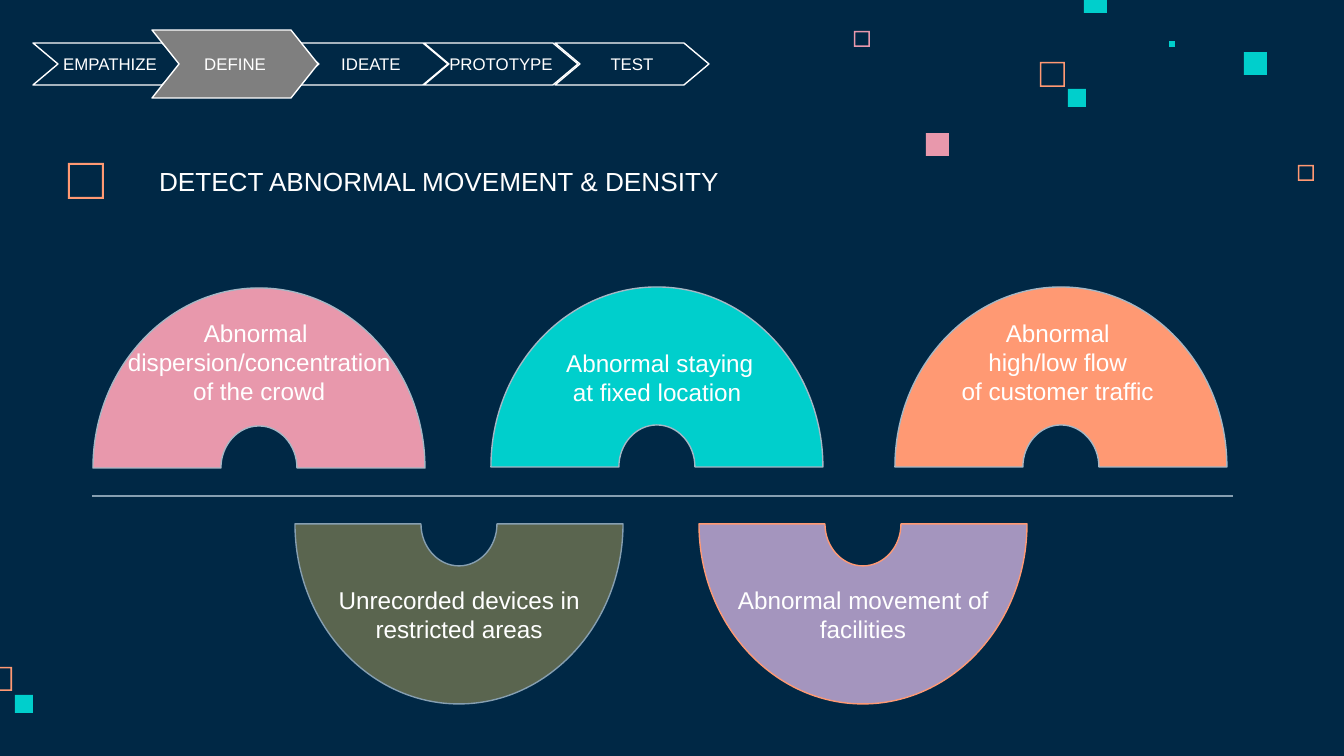
from lxml.etree import SubElement
from pptx import Presentation
from pptx.dml.color import RGBColor
from pptx.enum.shapes import MSO_CONNECTOR, MSO_SHAPE
from pptx.enum.text import MSO_ANCHOR, MSO_AUTO_SIZE, PP_ALIGN
from pptx.oxml.ns import qn
from pptx.util import Pt

SCALE = 914400 / 134.4  # EMU in one px
BEND = 0.55  # handle length of a quarter ellipse

NAVY = RGBColor(0x00, 0x28, 0x45)
WHITE = RGBColor(0xFF, 0xFF, 0xFF)
GRAY = RGBColor(0x7F, 0x7F, 0x7F)
PINK = RGBColor(0xE8, 0x98, 0xAC)
TEAL = RGBColor(0x00, 0xCF, 0xCC)
ORANGE = RGBColor(0xFF, 0x99, 0x73)
OLIVE = RGBColor(0x5A, 0x65, 0x4F)
PURPLE = RGBColor(0xA4, 0x95, 0xBE)
STEEL = RGBColor(0x86, 0x9F, 0xB1)
MIST = RGBColor(0xA5, 0xB7, 0xC5)


def emu(px):
    return round(px * SCALE)


def write(shape, text, size=13, color=WHITE, align=PP_ALIGN.CENTER,
          anchor=MSO_ANCHOR.MIDDLE, top=13, bottom=13):
    frame = shape.text_frame
    frame.word_wrap = True
    frame.auto_size = MSO_AUTO_SIZE.NONE
    frame.vertical_anchor = anchor
    frame.margin_left = frame.margin_right = emu(13)
    frame.margin_top, frame.margin_bottom = emu(top), emu(bottom)
    frame.text = text
    for para in frame.paragraphs:
        para.alignment = align
        para.font.name = "Arial"
        para.font.size = Pt(size)
        para.font.color.rgb = color


def bow(x, y, rx, ry):
    """Bezier points of a half ellipse from x - rx to x + rx."""
    return [(x - rx, y), (x - rx, y + BEND * ry), (x - BEND * rx, y + ry),
            (x, y + ry), (x + BEND * rx, y + ry), (x + rx, y + BEND * ry),
            (x + rx, y)]


def curve(shape, first):
    """Turn three line segments, from the given one on, into one curve."""
    path = next(shape._element.iter(qn("a:path")))
    lines = path[first:first + 3]
    bend = SubElement(path, qn("a:cubicBezTo"))
    path.insert(first, bend)
    for line in lines:
        bend.append(line[0])
        path.remove(line)


class Board:
    font_size = 13
    line_width = Pt(0.75)

    def __init__(self, deck):
        self.slide = deck.slides.add_slide(deck.slide_layouts[5])
        self.shapes = self.slide.shapes
        back = self.slide.background.fill
        back.solid()
        back.fore_color.rgb = NAVY

    def paint(self, shape, fill=None, line=None):
        shape.shadow.inherit = False
        if fill is None:
            shape.fill.background()
        else:
            shape.fill.solid()
            shape.fill.fore_color.rgb = fill
        if line is None:
            shape.line.fill.background()
        else:
            shape.line.color.rgb = line
            shape.line.width = self.line_width

    def title(self, text, x, y, w, h):
        shape = self.shapes.title
        shape.left, shape.top = emu(x), emu(y)
        shape.width, shape.height = emu(w), emu(h)
        write(shape, text, size=14, align=PP_ALIGN.LEFT,
              anchor=MSO_ANCHOR.TOP, top=7, bottom=7)

    def square(self, x, y, side, color, edge=0):
        kind = MSO_SHAPE.FRAME if edge else MSO_SHAPE.RECTANGLE
        shape = self.shapes.add_shape(
            kind, emu(x), emu(y), emu(side), emu(side))
        if edge:
            shape.adjustments[0] = edge / side
        self.paint(shape, color)

    def outline(self, points, fill, line):
        spots = [(emu(x), emu(y)) for x, y in points]
        pen = self.shapes.build_freeform(*spots[0])
        pen.add_line_segments(spots[1:], close=True)
        shape = pen.convert_to_shape()
        self.paint(shape, fill, line)
        return shape

    def step(self, text, x, y, w, h, notch, fill=None):
        mid, right = y + h / 2, x + w
        points = [(x, y), (x + notch, mid), (x, y + h),
                  (right - notch, y + h), (right, mid), (right - notch, y)]
        write(self.outline(points, fill, WHITE), text, size=9)

    def arch(self, text, x, base, radius, fill, line, side=-1, bottom=13):
        """Half ring on a base line; side is -1 for up and 1 for down."""
        outer = bow(x, base, radius, side * 180)
        inner = bow(x, base, 38, side * 42)[::-1]
        shape = self.outline(outer + inner, fill, line)
        # Two curves outside, a straight foot, two curves inside
        for first in (1, 2, 4, 5):
            curve(shape, first)
        write(shape, text, size=self.font_size, bottom=bottom)

    def rule(self, x, y, end, color):
        line = self.shapes.add_connector(
            MSO_CONNECTOR.STRAIGHT, emu(x), emu(y), emu(end), emu(y))
        line.line.color.rgb = color
        line.line.width = self.line_width
        SubElement(line._element.spPr, qn("a:effectLst"))


def main():
    deck = Presentation()
    deck.slide_width, deck.slide_height = emu(1344), emu(756)
    board = Board(deck)

    # Scattered squares
    for x, y, side, color, edge in [
            (1298, 165, 16, ORANGE, 1.5), (854, 31, 16, PINK, 1.5),
            (1040, 62, 25, ORANGE, 1.5), (1169, 41, 6, TEAL, 0),
            (1084, -10, 23, TEAL, 0), (1244, 52, 23, TEAL, 0),
            (1068, 89, 18, TEAL, 0), (926, 133, 23, PINK, 0),
            (-12, 667, 24, ORANGE, 1.5), (15, 695, 18, TEAL, 0)]:
        board.square(x, y, side, color, edge)

    # Lower arches
    board.arch("Unrecorded devices in restricted areas", 459, 524, 164,
               OLIVE, STEEL, side=1)
    board.arch("Abnormal movement of facilities", 863, 524, 164,
               PURPLE, ORANGE, side=1)

    # Upper arches
    for text, x, base, fill, bottom in [
            ("Abnormal \ndispersion/concentration\nof the crowd",
             259, 468, PINK, 45),
            (" Abnormal staying\nat fixed location", 657, 467, TEAL, 13),
            ("Abnormal \nhigh/low flow \nof customer traffic ",
             1061, 467, ORANGE, 43)]:
        board.arch(text, x, base, 166, fill, MIST, bottom=bottom)
    board.rule(92, 496, 1233, STEEL)

    # Heading
    board.square(68, 163, 36, ORANGE, edge=2)
    board.title("DETECT ABNORMAL MOVEMENT & DENSITY", 146, 158, 677, 46)

    # Process steps, the current one larger
    for text, slot in [("IDEATE", 2), ("EMPATHIZE", 0),
                       ("TEST", 4), ("PROTOTYPE", 3)]:
        board.step(text, 33 + 261 * slot // 2, 43, 154, 42, 25)
    board.step("DEFINE", 152, 30, 166, 68, 27, fill=GRAY)

    deck.save("out.pptx")


if __name__ == "__main__":
    main()
